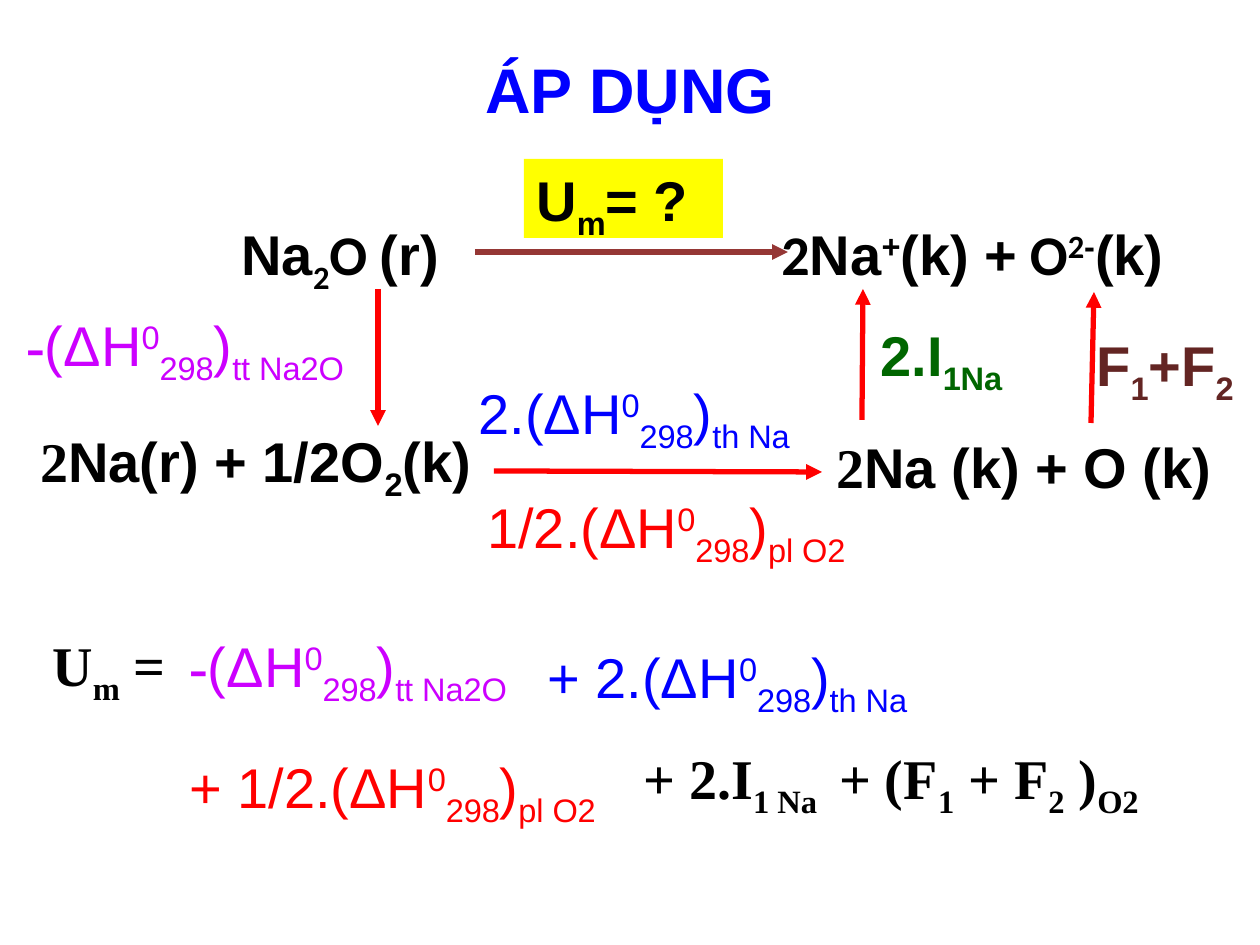
from pptx import Presentation
from pptx.dml.color import RGBColor
from pptx.enum.shapes import MSO_CONNECTOR, MSO_SHAPE
from pptx.enum.text import MSO_ANCHOR, PP_ALIGN
from pptx.oxml.ns import qn
from pptx.util import Emu, Pt
from lxml import etree

LINE = MSO_CONNECTOR.STRAIGHT
RECT = MSO_SHAPE.RECTANGLE
CENTER, LEFT = PP_ALIGN.CENTER, PP_ALIGN.LEFT
MIDDLE, TOP = MSO_ANCHOR.MIDDLE, MSO_ANCHOR.TOP

ARIAL, CALIBRI, TIMES = "Arial", "Calibri", "Times New Roman"
BLACK, BLUE, RED, PURPLE = "000000", "0000FF", "FF0000", "CC00FF"
GREEN, MAROON, BROWN, YELLOW = "006600", "632523", "953735", "FFFF00"
SUB, BASE, SUP = -25000, 0, 30000
ROW_H = 81


def px(n):
    return Emu(round(n * 914400 / 126))


def rgb(value):
    return RGBColor.from_string(value)


def write(tf, runs, color=BLACK, bold=True, font=ARIAL, size=32, align=LEFT):
    """Fill a frame with runs of (text, level, format overrides)."""
    tf.word_wrap = True
    p = tf.paragraphs[0]
    p.alignment = align
    for text, level, changes in runs:
        r = p.add_run()
        r.text = text
        fmt = {"name": font, "size": Pt(size), "bold": bold, **changes}
        for key, value in fmt.items():
            setattr(r.font, key, value)
        r.font.color.rgb = rgb(color)
        if level:
            r._r.get_or_add_rPr().set("baseline", str(level))


def run(text, level=BASE, **changes):
    return text, level, changes


def add_text(s, x, y, w, runs, **fmt):
    tb = s.shapes.add_textbox(px(x), px(y), px(w), px(ROW_H))
    write(tb.text_frame, runs, **fmt)


def add_enthalpy(s, x, y, w, prefix, process, color):
    runs = [run("-", name=TIMES, bold=True)] if prefix == "-" else []
    lead = "(ΔH" if runs else prefix + "(ΔH"
    runs += [run(lead), run("0", SUP), run("298", SUB), run(")"),
             run(process, SUB)]
    add_text(s, x, y, w, runs, color=color, bold=False)


def add_arrow(s, x1, y1, x2, y2, color=RED):
    c = s.shapes.add_connector(LINE, px(x1), px(y1), px(x2), px(y2))
    c.line.color.rgb = rgb(color)
    c.line.width = Pt(3)
    etree.SubElement(c.line._get_or_add_ln(), qn("a:tailEnd"), type="triangle")
    etree.SubElement(c._element.spPr, qn("a:effectLst"))


def add_title(s, x, y, w, h):
    title = s.shapes.title
    title.left, title.top, title.width, title.height = map(px, (x, y, w, h))
    title.text_frame.vertical_anchor = MIDDLE
    write(title.text_frame, [run("ÁP DỤNG")], color=BLUE, size=36, align=CENTER)


def add_unknown(s, x, y, w, h):
    sp = s.shapes.add_shape(RECT, px(x), px(y), px(w), px(h))
    sp.shadow.inherit = False
    sp.fill.solid()
    sp.fill.fore_color.rgb = rgb(YELLOW)
    sp.line.fill.background()
    sp.text_frame.vertical_anchor = TOP
    write(sp.text_frame, [run("U"), run("m", SUB), run("= ?")])


def add_cycle(s, x, y):
    """Born-Haber cycle: four states, the arrows and their energies."""
    add_text(s, x + 229, y + 54, 240, [
        run("Na"), run("2", SUB, name=CALIBRI), run("O ", name=CALIBRI),
        run("(r)")])
    add_text(s, x + 769, y + 54, 450, [
        run("2", name=CALIBRI), run("Na"), run("+", SUP), run("(k) +"),
        run(" O", name=CALIBRI), run("2", SUP, name=CALIBRI), run("-", SUP),
        run("(k)")])
    add_text(s, x + 28, y + 261, 476, [
        run("2", name=TIMES), run("Na(r) + 1/2O"), run("2", SUB), run("(k)")])
    add_text(s, x + 824, y + 267, 412, [
        run("2", name=TIMES), run("Na (k) + O (k)")])

    add_arrow(s, x + 475, y + 93, x + 788, y + 93, BROWN)
    add_arrow(s, x + 378, y + 130, x + 378, y + 267)
    add_arrow(s, x + 494, y + 312, x + 822, y + 313)
    add_arrow(s, x + 862, y + 261, x + 863, y + 130)
    add_arrow(s, x + 1091, y + 264, x + 1094, y + 133)

    add_unknown(s, x + 524, y, 199, 79)
    add_text(s, x + 868, y + 155, 160, [run("2.I"), run("1Na", SUB)],
             color=GREEN)
    add_text(s, x + 1084, y + 165, 176, [
        run("F"), run("1", SUB), run("+F"), run("2", SUB)], color=MAROON)
    add_enthalpy(s, x + 14, y + 145, 388, "-", "tt Na2O", PURPLE)
    add_enthalpy(s, x + 466, y + 213, 378, "2.", "th Na", BLUE)
    add_enthalpy(s, x + 475, y + 327, 426, "1/2.", "pl O2", RED)


def add_result(s, x, y):
    """Lattice energy written as the sum of the cycle's terms."""
    add_text(s, x, y, 168, [run("U"), run("m", SUB), run(" =")], font=TIMES)
    add_enthalpy(s, x + 137, y + 1, 388, "-", "tt Na2O", PURPLE)
    add_enthalpy(s, x + 495, y + 12, 421, "+ 2.", "th Na", BLUE)
    add_enthalpy(s, x + 137, y + 122, 466, "+ 1/2.", "pl O2", RED)
    add_text(s, x + 591, y + 113, 573, [
        run("+ 2.I"), run("1 Na ", SUB), run(" + (F"), run("1", SUB),
        run(" + F"), run("2", SUB), run(" )"), run("O2", SUB)], font=TIMES)


def main():
    prs = Presentation()
    prs.slide_width, prs.slide_height = px(1260), px(945)
    s = prs.slides.add_slide(prs.slide_layouts[5])
    add_title(s, 63, 9, 1134, 158)
    add_cycle(s, 0, 159)
    add_result(s, 40, 624)
    prs.save("out.pptx")


if __name__ == "__main__":
    main()
